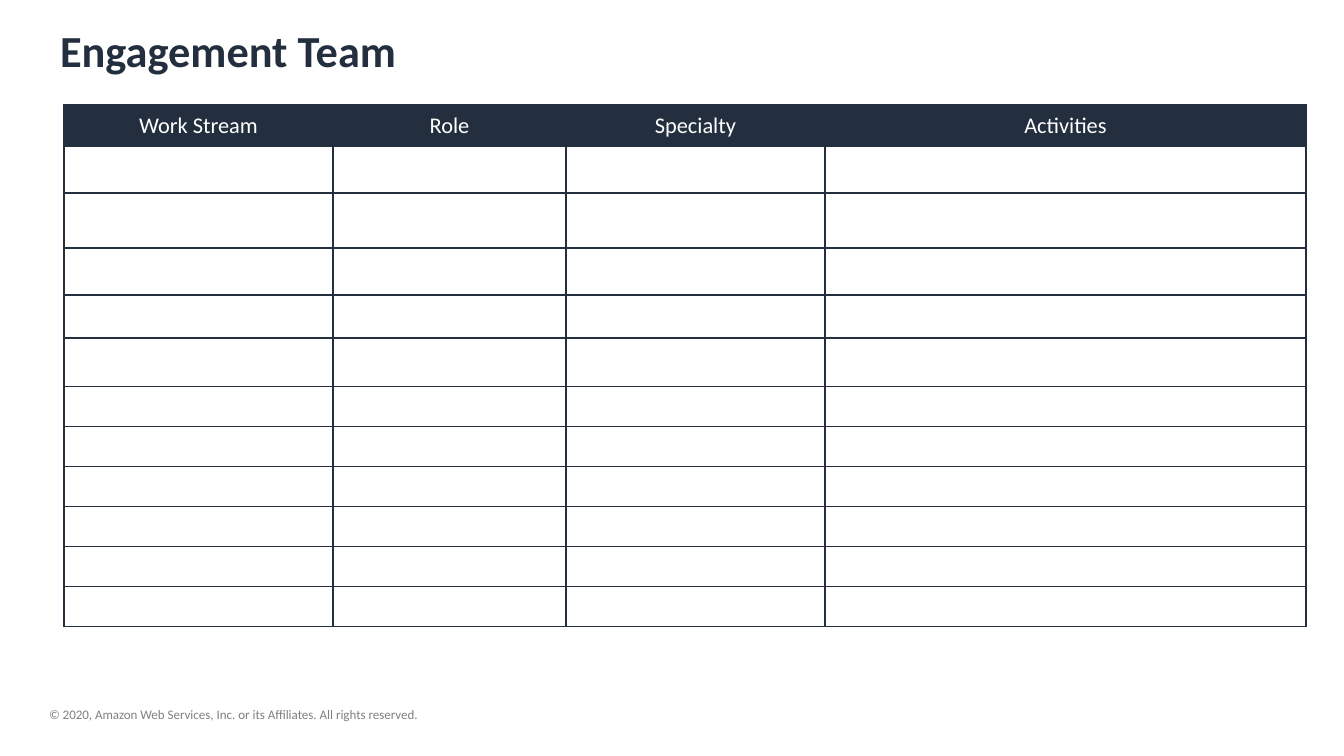
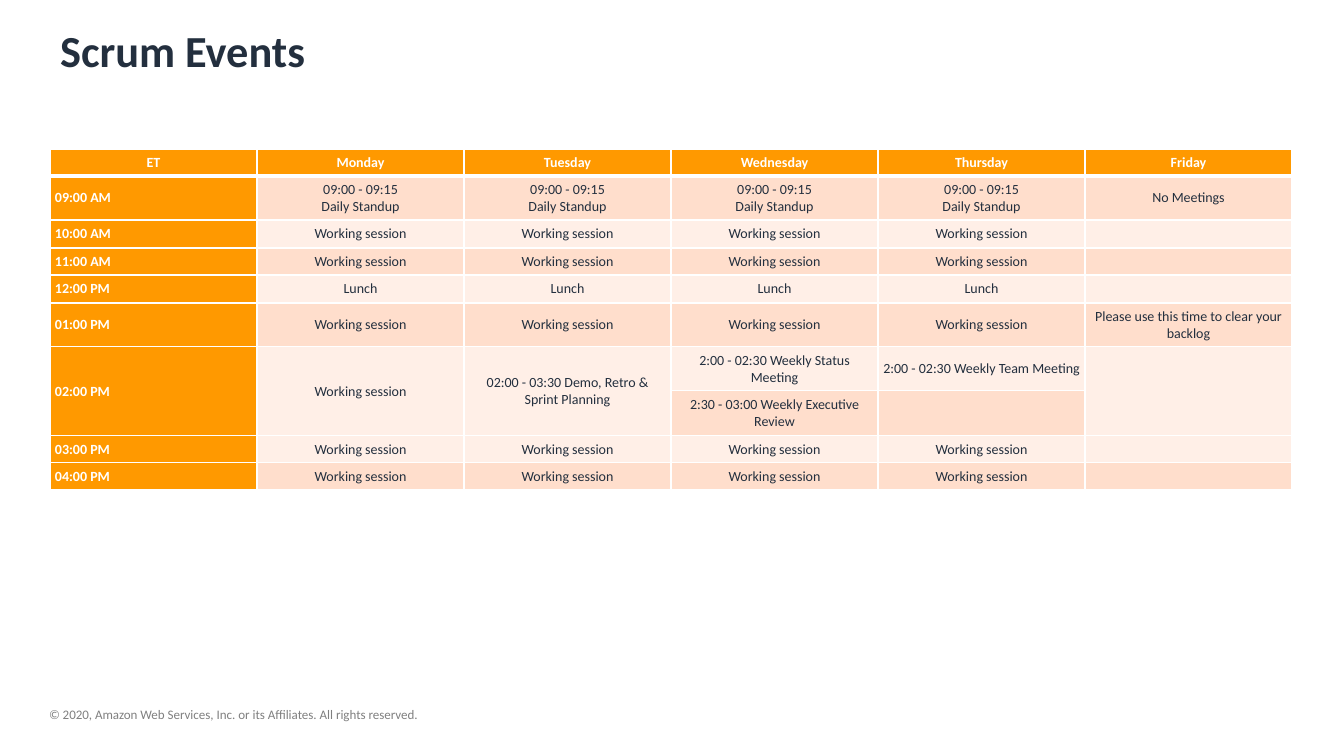
import lxml.etree
import pptx
import pptx.dml.color
import pptx.enum.text
import pptx.oxml.ns
import pptx.util

EMU_PER_PX = 914400 / 100.8
FONT = "Calibri"
COLORS = {
    "navy": "232F3E",
    "grey": "808080",
    "white": "FFFFFF",
    "orange": "FF9900",
    "peach": "FFDECC",
    "cream": "FFEFE7",
}
ALIGN = pptx.enum.text.PP_ALIGN
ANCHOR = pptx.enum.text.MSO_ANCHOR
TITLE_BOX = (50, 18, 1242, 83)
FOOTER_BOX = (49, 706, 653, 16)
TEAM_BOX = (64, 105, 1242, 524)
SCHEDULE_BOX = (50, 149, 1242, 341)
COPYRIGHT = "© 2020, Amazon Web Services, Inc. or its Affiliates. All rights reserved."

TITLE_FORMAT = {"size": 31.7, "bold": True, "color": "navy"}
FOOTER_FORMAT = {"size": 9.3, "bold": False, "color": "grey"}
TEAM_HEAD_FORMAT = {"size": 16, "bold": False, "color": "white"}
SCHEDULE_HEAD_FORMAT = {"size": 10, "bold": True, "color": "white"}
SCHEDULE_FORMAT = {"size": 10, "bold": False, "color": "navy"}

TEAM_HEADS = ["Work Stream", "Role", "Specialty", "Activities"]
TEAM_WIDTHS = [269, 233, 259, 481]
TEAM_HEIGHTS = [41, 47, 55, 47, 43, 49] + [40] * 6

WORK = ["Working session"] * 4
SCHEDULE = [
    ["ET", "Monday", "Tuesday", "Wednesday", "Thursday", "Friday"],
    ["09:00 AM"] + ["09:00 - 09:15\nDaily Standup"] * 4 + ["No Meetings"],
    ["10:00 AM", *WORK, ""],
    ["11:00 AM", *WORK, ""],
    ["12:00 PM"] + ["Lunch"] * 4 + [""],
    ["01:00 PM", *WORK, "Please use this time to clear your backlog"],
    ["02:00 PM", "Working session", "02:00 - 03:30 Demo, Retro & Sprint Planning",
     "2:00 - 02:30 Weekly Status Meeting", "2:00 - 02:30 Weekly Team Meeting", ""],
    ["", "", "", "2:30 - 03:00 Weekly Executive Review", "", ""],
    ["03:00 PM", *WORK, ""],
    ["04:00 PM", *WORK, ""],
]
SCHEDULE_HEIGHTS = [27, 44, 28, 27, 28, 44, 44, 45, 27, 27]
MERGED_ROW = 6
MERGED_COLUMNS = (0, 1, 2, 5)


def px(length):
    """Turn pixels into EMU."""
    return pptx.util.Emu(round(length * EMU_PER_PX))


def rgb(name):
    """Return a named colour."""
    return pptx.dml.color.RGBColor.from_string(COLORS[name])


def set_margins(target, sides, ends):
    """Set the horizontal and vertical insets of a cell or text frame."""
    values = {"margin_left": sides, "margin_right": sides, "margin_top": ends, "margin_bottom": ends}
    for name, value in values.items():
        setattr(target, name, px(value))


def write_text(frame, text, style, align=ALIGN.LEFT):
    """Write each line as one formatted paragraph."""
    for index, line in enumerate(text.split("\n")):
        para = frame.add_paragraph() if index else frame.paragraphs[0]
        para.alignment = align
        span = para.add_run()
        span.text = line
        values = {"name": FONT, "size": pptx.util.Pt(style["size"]), "bold": style["bold"]}
        for name, value in values.items():
            setattr(span.font, name, value)
        span.font.color.rgb = rgb(style["color"])


def add_title(slide, text, box):
    """Move and fill the title placeholder."""
    title = slide.shapes.title
    for name, value in zip(("left", "top", "width", "height"), box):
        setattr(title, name, px(value))
    frame = title.text_frame
    values = {"word_wrap": True, "vertical_anchor": ANCHOR.TOP,
              "auto_size": pptx.enum.text.MSO_AUTO_SIZE.NONE}
    for name, value in values.items():
        setattr(frame, name, value)
    write_text(frame, text, TITLE_FORMAT)


def add_footer(slide, box):
    """Place the copyright line."""
    frame = slide.shapes.add_textbox(*map(px, box)).text_frame
    frame.word_wrap = True
    set_margins(frame, 0, 0)
    write_text(frame, COPYRIGHT, FOOTER_FORMAT)


def add_slide(deck, title):
    """Start a slide with the shared title and footer."""
    slide = deck.slides.add_slide(deck.slide_layouts[5])
    add_title(slide, title, TITLE_BOX)
    add_footer(slide, FOOTER_BOX)
    return slide


def add_grid(slide, box, widths, heights):
    """Add a plain table with the given column widths and row heights."""
    grid = slide.shapes.add_table(len(heights), len(widths), *map(px, box)).table
    grid.first_row = grid.horz_banding = False
    for column, width in zip(grid.columns, widths):
        column.width = px(width)
    for row, height in zip(grid.rows, heights):
        row.height = px(height)
    return grid


def set_borders(cell, color, top=1, bottom=1):
    """Draw the four cell borders, with widths in points."""
    properties = cell._tc.get_or_add_tcPr()
    qn = pptx.oxml.ns.qn
    for side, width in {"L": 1, "R": 1, "T": top, "B": bottom}.items():
        line = lxml.etree.SubElement(properties, qn(f"a:ln{side}"), w=str(pptx.util.Pt(width)))
        fill = lxml.etree.SubElement(line, qn("a:solidFill"))
        lxml.etree.SubElement(fill, qn("a:srgbClr"), val=COLORS[color])


def set_empty_size(cell, size):
    """Set the text size that an empty cell reserves."""
    para = cell.text_frame.paragraphs[0]._p
    lxml.etree.SubElement(para, pptx.oxml.ns.qn("a:endParaRPr"), sz=str(size * 100))


def fill_cell(cell, color):
    """Fill a cell, or leave it clear without a colour."""
    if color:
        cell.fill.solid()
        cell.fill.fore_color.rgb = rgb(color)
    else:
        cell.fill.background()


def add_team_table(slide, box):
    """Place the blank team table under its header row."""
    grid = add_grid(slide, box, TEAM_WIDTHS, TEAM_HEIGHTS)
    for row in range(len(TEAM_HEIGHTS)):
        for column, head in enumerate(TEAM_HEADS):
            cell = grid.cell(row, column)
            set_borders(cell, "navy")
            fill_cell(cell, None if row else "navy")
            set_margins(cell, 13, 4 if row else 6)
            if row:
                set_empty_size(cell, 16)
            else:
                cell.vertical_anchor = ANCHOR.MIDDLE
                write_text(cell.text_frame, head, TEAM_HEAD_FORMAT, ALIGN.CENTER)


def add_schedule_table(slide, box):
    """Place the weekly schedule with banded rows."""
    count = len(SCHEDULE[0])
    grid = add_grid(slide, box, [box[2] // count] * count, SCHEDULE_HEIGHTS)
    for column in MERGED_COLUMNS:
        grid.cell(MERGED_ROW, column).merge(grid.cell(MERGED_ROW + 1, column))
    for row, texts in enumerate(SCHEDULE):
        for column, text in enumerate(texts):
            cell = grid.cell(row, column)
            is_head = row == 0 or column == 0
            band = "peach" if row % 2 else "cream"
            set_borders(cell, "white", top=3 if row == 1 else 1, bottom=1 if row else 3)
            fill_cell(cell, "orange" if is_head else band)
            set_margins(cell, 5, 5)
            cell.vertical_anchor = ANCHOR.MIDDLE
            if text:
                style = SCHEDULE_HEAD_FORMAT if is_head else SCHEDULE_FORMAT
                align = ALIGN.LEFT if row and column == 0 else ALIGN.CENTER
                write_text(cell.text_frame, text, style, align)
            else:
                set_empty_size(cell, SCHEDULE_FORMAT["size"])


def main():
    """Build and save the deck."""
    deck = pptx.Presentation()
    deck.slide_width, deck.slide_height = px(1344), px(756)
    add_team_table(add_slide(deck, "Engagement Team"), TEAM_BOX)
    add_schedule_table(add_slide(deck, "Scrum Events"), SCHEDULE_BOX)
    deck.save("out.pptx")


if __name__ == "__main__":
    main()
